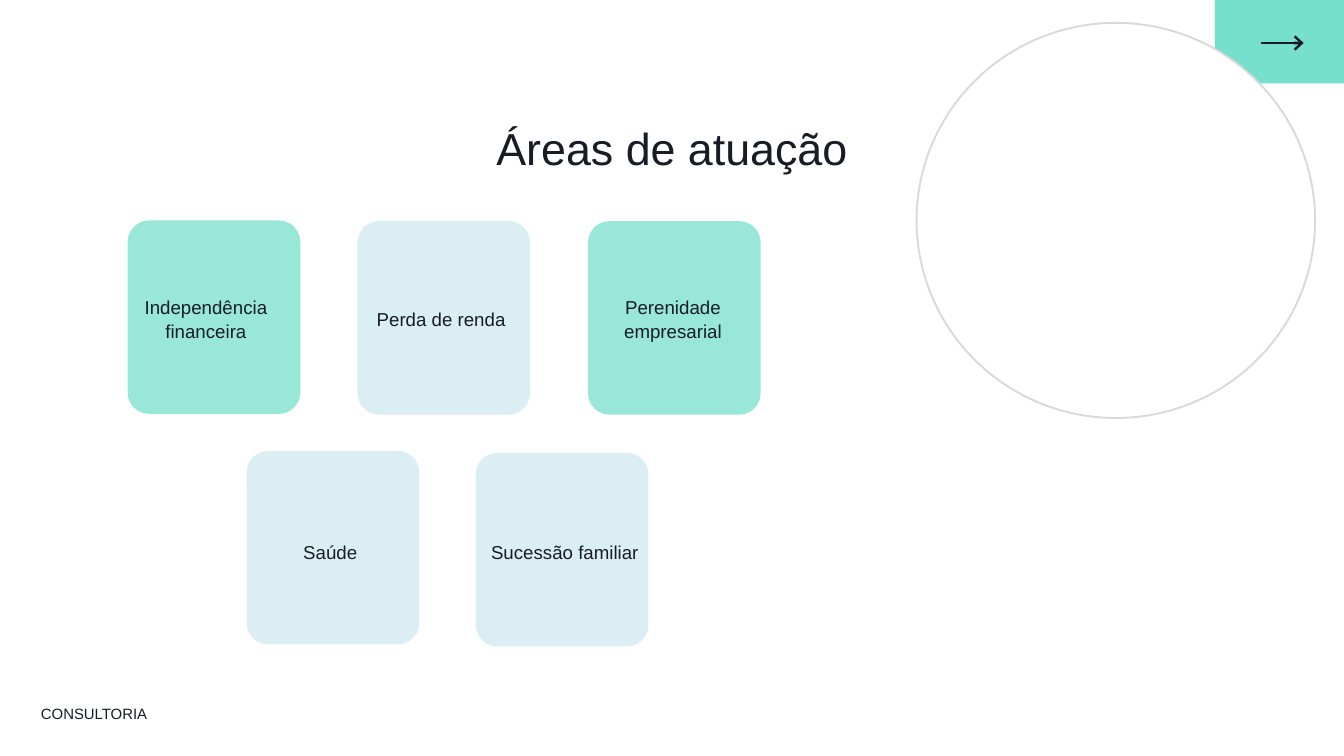
from lxml import etree
from pptx import Presentation
from pptx.dml.color import RGBColor
from pptx.enum.shapes import MSO_CONNECTOR, MSO_SHAPE
from pptx.enum.text import MSO_ANCHOR, PP_ALIGN
from pptx.oxml.ns import qn
from pptx.util import Inches, Pt

COLORS = {
    "ink": "181C24",
    "mint": "73DFCB",
    "ice": "DBEEF4",
    "white": "FFFFFF",
    "outline": "D9D9D9",
}
CARD_WIDTH, CARD_HEIGHT, CARD_RADIUS = 2.57, 2.88, 0.32
LABEL_HEIGHT = 0.74


def write_text(shape, text, size, line_spacing, align, anchor=MSO_ANCHOR.TOP):
    frame = shape.text_frame
    frame.word_wrap = True
    frame.margin_left = frame.margin_right = 0
    frame.margin_top = frame.margin_bottom = 0
    frame.vertical_anchor = anchor
    paragraph = frame.paragraphs[0]
    paragraph.alignment = align
    paragraph.line_spacing = Pt(line_spacing)
    run = paragraph.add_run()
    run.text = text
    run.font.name = "Arial"
    run.font.size = Pt(size)
    run.font.color.rgb = RGBColor.from_string(COLORS["ink"])


def add_filled(kind, left, top, width, height, color, opacity=100):
    """Add a shape with a solid fill, no line and no shadow; opacity in percent."""
    shape = slide.shapes.add_shape(
        kind, Inches(left), Inches(top), Inches(width), Inches(height))
    shape.shadow.inherit = False
    shape.line.fill.background()
    shape.fill.solid()
    shape.fill.fore_color.rgb = RGBColor.from_string(COLORS[color])
    if opacity < 100:
        srgb = shape.fill._xPr.find(".//" + qn("a:srgbClr"))
        etree.SubElement(srgb, qn("a:alpha"), val=str(opacity * 1000))
    return shape


presentation = Presentation()
presentation.slide_width = Inches(20)
presentation.slide_height = Inches(11.25)
slide = presentation.slides.add_slide(presentation.slide_layouts[5])

# Title
title = slide.shapes.title
title.left, title.top = Inches(5.49), Inches(1.85)
title.width, title.height = Inches(9.02), Inches(0.76)
write_text(title, "Áreas de atuação", 48, 53.3, PP_ALIGN.CENTER)

# Cards: left, top, colour, opacity, label left, label top, label
cards = [
    (1.9, 3.28, "mint", 73, 1.78, 4.36, "Independência financeira"),
    (5.32, 3.29, "ice", 100, 5.28, 4.36, "Perda de renda"),
    (8.75, 3.29, "mint", 73, 8.73, 4.36, "Perenidade empresarial"),
    (3.67, 6.71, "ice", 100, 3.63, 7.82, "Saúde"),
    (7.08, 6.74, "ice", 100, 7.12, 7.82, "Sucessão familiar"),
]
for left, top, color, opacity, label_left, label_top, text in cards:
    card = add_filled(MSO_SHAPE.ROUNDED_RECTANGLE, left, top,
                      CARD_WIDTH, CARD_HEIGHT, color, opacity)
    card.adjustments[0] = CARD_RADIUS / CARD_WIDTH
    label = slide.shapes.add_textbox(
        Inches(label_left), Inches(label_top),
        Inches(CARD_WIDTH), Inches(LABEL_HEIGHT))
    write_text(label, text, 20, 26.6, PP_ALIGN.CENTER, MSO_ANCHOR.MIDDLE)

# Footer
footer = slide.shapes.add_textbox(
    Inches(0.61), Inches(10.44), Inches(6.09), Inches(0.29))
write_text(footer, "CONSULTORIA", 16, 22.4, PP_ALIGN.LEFT)

# Corner tile with arrow
corner = add_filled(MSO_SHAPE.ROUNDED_RECTANGLE, 18.08, -0.17, 2.03, 1.41, "mint", 97)
corner.adjustments[0] = 0.06

arrow = slide.shapes.add_connector(
    MSO_CONNECTOR.STRAIGHT, Inches(18.77), Inches(0.64), Inches(19.4), Inches(0.64))
arrow.line.width = Pt(3)
arrow.line.color.rgb = RGBColor.from_string(COLORS["ink"])
etree.SubElement(arrow.line._get_or_add_ln(), qn("a:tailEnd"),
                 type="arrow", w="lg", len="med")
etree.SubElement(arrow._element.spPr, qn("a:effectLst"))

# Large circle over the corner tile
circle = add_filled(MSO_SHAPE.FLOWCHART_CONNECTOR, 13.64, 0.34, 5.93, 5.88, "white")
circle.line.color.rgb = RGBColor.from_string(COLORS["outline"])
circle.line.width = Pt(2)

presentation.save("out.pptx")
